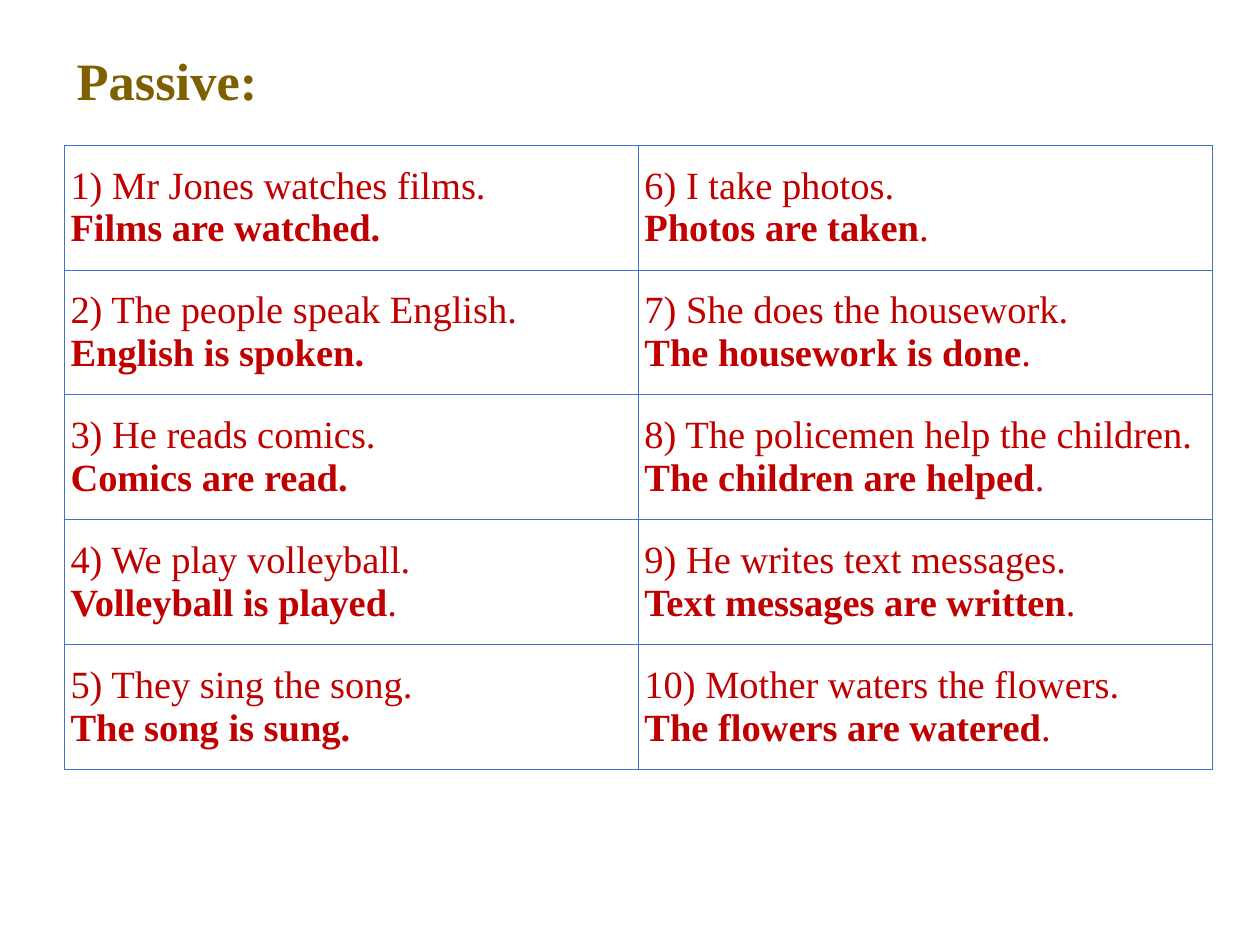
import pptx
import pptx.util
import pptx.dml.color
import pptx.enum.text
import pptx.oxml
import pptx.oxml.ns

Inches, Pt = pptx.util.Inches, pptx.util.Pt
RGB = pptx.dml.color.RGBColor
MIDDLE = pptx.enum.text.MSO_ANCHOR.MIDDLE

RED = RGB(0xC0, 0x00, 0x00)
GOLD = RGB(0x7F, 0x60, 0x00)
BLUE = RGB(0x44, 0x72, 0xC4)

TITLE = "Passive:"
# Each column lists: active sentence, bold passive answer, plain ending
COLUMNS = [
    [
        ("1) Mr Jones watches films.", "Films are watched.", ""),
        ("2) The people speak English.", "English is spoken.", ""),
        ("3) He reads comics.", "Comics are read.", ""),
        ("4) We play volleyball.", "Volleyball is played", "."),
        ("5) They sing the song.", "The song is sung.", ""),
    ],
    [
        ("6) I take photos.", "Photos are taken", "."),
        ("7) She does the housework.", "The housework is done", "."),
        ("8) The policemen help the children.", "The children are helped", "."),
        ("9) He writes text messages.", "Text messages are written", "."),
        ("10) Mother waters the flowers.", "The flowers are watered", "."),
    ],
]

LEFT, WIDTH = Inches(0.51), Inches(9.11)
HEAD = {"top": Inches(0.44), "height": Inches(0.44)}
GRID = {"top": Inches(1.15), "height": Inches(4.96)}
FACE = {"name": "Times New Roman"}
HEADFONT = {**FACE, "size": Pt(30), "bold": True}
CELLFONT = {**FACE, "size": Pt(22)}
SIDES = ("left", "right", "top", "bottom")
CELL = {"vertical_anchor": MIDDLE, **{f"margin_{s}": Inches(0.05) for s in SIDES}}
FRAME = {"vertical_anchor": MIDDLE, "word_wrap": True}


def put(thing, values):
    for name, value in values.items():
        setattr(thing, name, value)


def write(para, text, color, **font):
    run = para.add_run()
    run.text = text
    put(run.font, font)
    run.font.color.rgb = color


def border(cell):
    props = cell._tc.get_or_add_tcPr()
    for side in "LRTB":
        props.append(pptx.oxml.parse_xml(
            f'<a:ln{side} {pptx.oxml.ns.nsdecls("a")} w="{Pt(0.45)}">'
            f'<a:solidFill><a:srgbClr val="{BLUE}"/></a:solidFill></a:ln{side}>'))


def fill(cell, active, passive, end):
    put(cell, CELL)
    border(cell)
    cell.fill.background()
    para = cell.text_frame.paragraphs[0]
    write(para, active, RED, **CELLFONT, bold=False)
    para.add_line_break()
    write(para, passive, RED, **CELLFONT, bold=True)
    if end:
        write(para, end, RED, **CELLFONT, bold=False)


def main():
    deck = pptx.Presentation()
    put(deck, {"slide_width": Inches(10), "slide_height": Inches(7.5)})
    slide = deck.slides.add_slide(deck.slide_layouts[6])

    frame = slide.shapes.add_textbox(LEFT, HEAD["top"], WIDTH, HEAD["height"]).text_frame
    put(frame, FRAME)
    frame.paragraphs[0].line_spacing = 0.9
    write(frame.paragraphs[0], TITLE, GOLD, **HEADFONT)

    table = slide.shapes.add_table(len(COLUMNS[0]), len(COLUMNS), LEFT, GRID["top"],
                                   WIDTH, GRID["height"]).table
    put(table, {"first_row": False, "horz_banding": False})
    for col, items in enumerate(COLUMNS):
        for row, item in enumerate(items):
            fill(table.cell(row, col), *item)

    deck.save("out.pptx")


if __name__ == "__main__":
    main()
